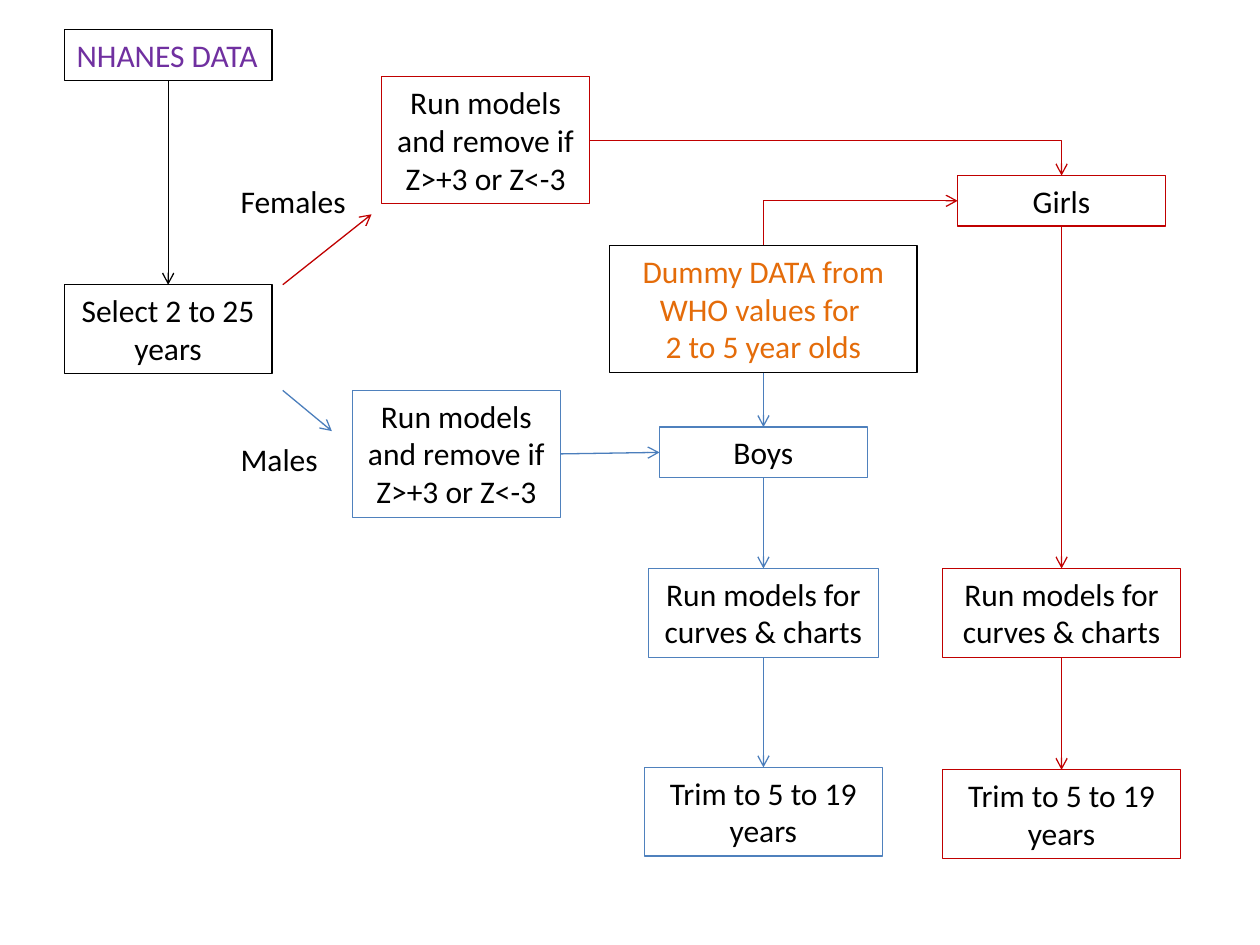
from lxml.etree import SubElement
from pptx import Presentation
from pptx.dml.color import RGBColor
from pptx.enum.shapes import MSO_CONNECTOR as CONN, MSO_SHAPE as SHAPE
from pptx.enum.text import MSO_ANCHOR as ANCHOR, MSO_AUTO_SIZE as FIT, PP_ALIGN as ALIGN
from pptx.oxml.ns import qn
from pptx.util import Cm, Pt

COLORS = {
    "black": "000000",
    "purple": "7030A0",
    "orange": "E46C0A",
    "red": "C00000",
    "blue": "4F81BD",
    "arrow_blue": "4B7EBC",
}
TOP, LEFT, BOTTOM, RIGHT = range(4)
SOURCE_X, BOYS_X, GIRLS_X = 3.39, 15.39, 21.4
REMOVE = "Run models and remove if Z>+3 or Z<-3"
CURVES = "Run models for curves & charts"
TRIM = "Trim to 5 to 19 years"


def rgb(name):
    return RGBColor.from_string(COLORS[name])


def text_height(rows):
    return 0.25 + 0.77 * rows


def write(shape, text, color, align):
    tf = shape.text_frame
    tf.word_wrap = True
    tf.auto_size = FIT.SHAPE_TO_FIT_TEXT
    tf.vertical_anchor = ANCHOR.TOP
    p = tf.paragraphs[0]
    p.alignment = align
    for i, line in enumerate(text.split("\n")):
        if i:
            p.add_line_break()
        r = p.add_run()
        r.text = line
        r.font.name = "Calibri"
        r.font.size = Pt(18)
        r.font.color.rgb = rgb(color)


def add_box(s, text, center, top, rows, line="black", width=4.19, color="black", align=ALIGN.CENTER):
    sp = s.shapes.add_shape(SHAPE.RECTANGLE, Cm(center - width / 2), Cm(top),
                            Cm(width), Cm(text_height(rows)))
    sp.shadow.inherit = False
    sp.fill.background()
    sp.line.color.rgb = rgb(line)
    sp.line.width = Pt(0.75)
    write(sp, text, color, align)
    return sp


def add_label(s, text, top):
    tb = s.shapes.add_textbox(Cm(4.6), Cm(top), Cm(3.4), Cm(text_height(1)))
    write(tb, text, "black", ALIGN.LEFT)


def add_arrow(s, color, start=(0, 0), end=(0, 0), kind=CONN.STRAIGHT):
    cx = s.shapes.add_connector(kind, *(Cm(v) for v in (*start, *end)))
    cx.line.color.rgb = rgb(color)
    cx.line.width = Pt(0.75)
    SubElement(cx.line._get_or_add_ln(), qn("a:tailEnd"), type="arrow")
    SubElement(cx._element.spPr, qn("a:effectLst"))
    return cx


def link(s, color, source, source_side, target, target_side, kind=CONN.STRAIGHT):
    cx = add_arrow(s, color, kind=kind)
    cx.begin_connect(source, source_side)
    cx.end_connect(target, target_side)
    return cx


def link_corner(s, color, source, source_side, target, target_side):
    cx = link(s, color, source, source_side, target, target_side, CONN.ELBOW)
    spPr = cx._element.spPr
    spPr.find(qn("a:prstGeom")).set("prst", "bentConnector2")
    if source_side == TOP:
        x, y, w, h = cx.left, cx.top, cx.width, cx.height
        cx.left, cx.top = x + (w - h) // 2, y + (h - w) // 2
        cx.width, cx.height = h, w
        xfrm = spPr.find(qn("a:xfrm"))
        for key, value in (("rot", "5400000"), ("flipH", "1"), ("flipV", "1")):
            xfrm.set(key, value)


def main():
    prs = Presentation()
    prs.slide_width, prs.slide_height = Cm(25.4), Cm(19.05)
    s = prs.slides.add_slide(prs.slide_layouts[6])

    data = add_box(s, "NHANES DATA", SOURCE_X, 0.6, 1, color="purple", align=ALIGN.LEFT)
    select = add_box(s, "Select 2 to 25 years", SOURCE_X, 5.74, 2)
    dummy = add_box(s, "Dummy DATA from WHO values for \n2 to 5 year olds",
                    BOYS_X, 4.95, 3, width=6.2, color="orange")
    males = add_box(s, REMOVE, 9.2, 7.87, 3, "blue")
    females = add_box(s, REMOVE, 9.79, 1.55, 3, "red")
    boys = add_box(s, "Boys", BOYS_X, 8.61, 1, "blue")
    girls = add_box(s, "Girls", GIRLS_X, 3.54, 1, "red")
    boys_curves = add_box(s, CURVES, BOYS_X, 11.46, 2, "blue", 4.63)
    girls_curves = add_box(s, CURVES, GIRLS_X, 11.46, 2, "red", 4.8)
    boys_trim = add_box(s, TRIM, BOYS_X, 15.47, 2, "blue", 4.8)
    girls_trim = add_box(s, TRIM, GIRLS_X, 15.52, 2, "red", 4.8)

    add_label(s, "Females", 3.54)
    add_label(s, "Males", 8.75)

    add_arrow(s, "red", (5.7, 5.74), (7.49, 4.32))
    add_arrow(s, "arrow_blue", (5.7, 7.87), (6.69, 8.69))
    link(s, "arrow_blue", males, RIGHT, boys, LEFT)
    for color, source, target in (
        ("black", data, select),
        ("arrow_blue", dummy, boys),
        ("arrow_blue", boys, boys_curves),
        ("arrow_blue", boys_curves, boys_trim),
        ("red", girls, girls_curves),
        ("red", girls_curves, girls_trim),
    ):
        link(s, color, source, BOTTOM, target, TOP)
    link_corner(s, "red", females, RIGHT, girls, TOP)
    link_corner(s, "red", dummy, TOP, girls, LEFT)

    prs.save("out.pptx")


if __name__ == "__main__":
    main()
